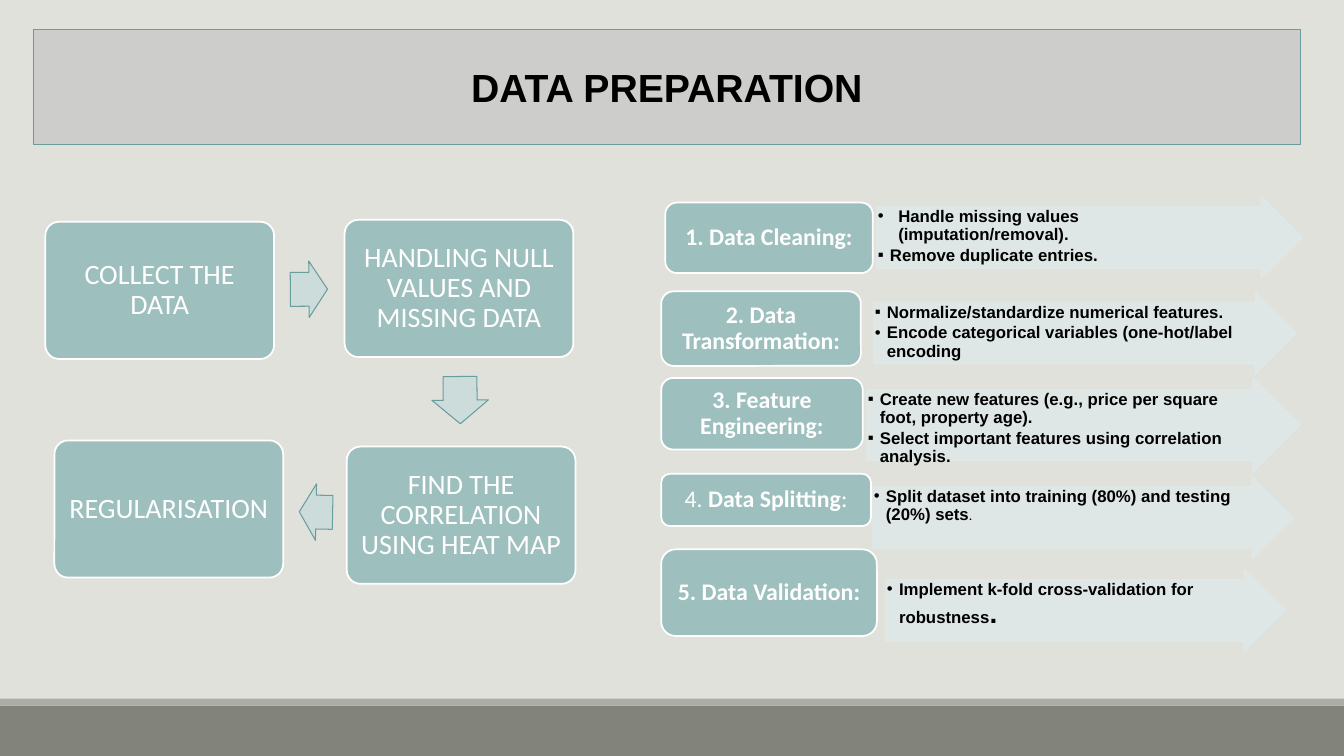
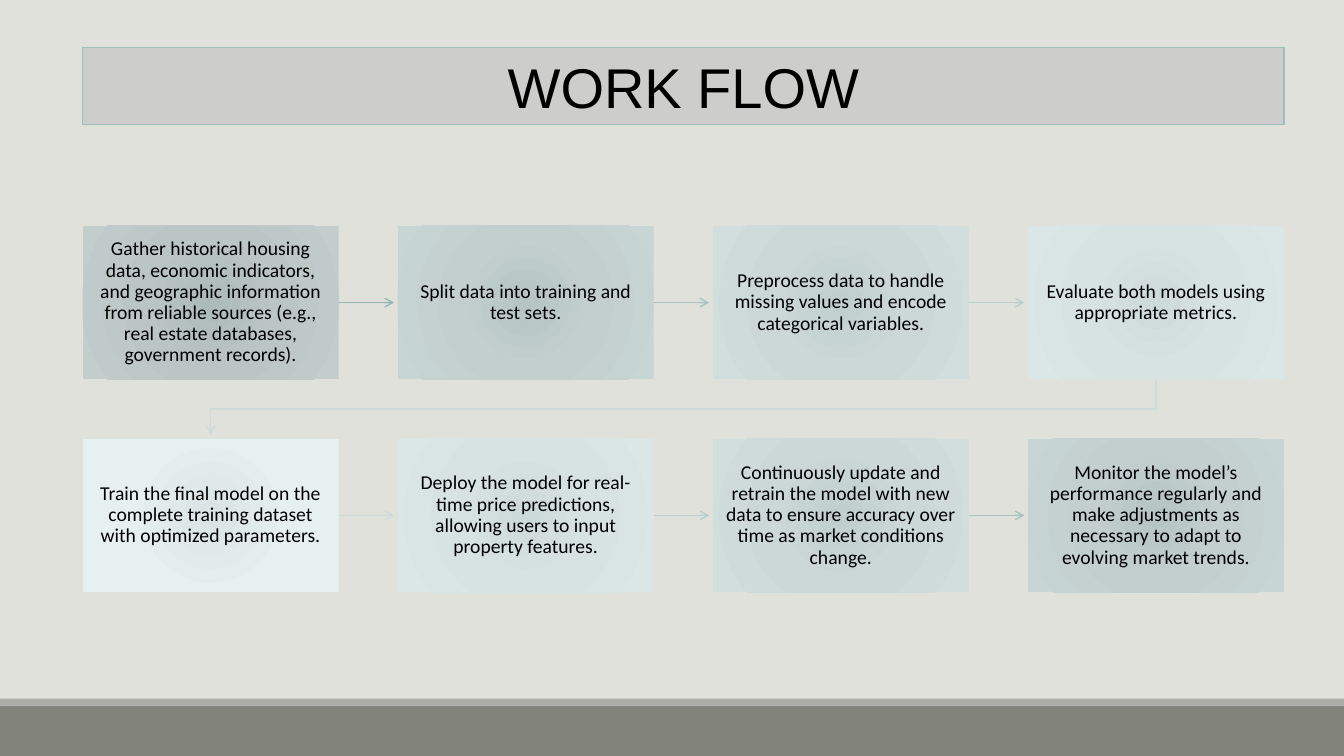
"""Build two slides on data preparation and the project work flow."""
from lxml import etree
from pptx import Presentation, oxml
from pptx.dml.color import RGBColor
from pptx.enum import shapes, text
from pptx.oxml.ns import nsdecls, qn
from pptx.util import Pt

COLOURS = {
    "page": "E1E1DB", "band": "82847C", "strip": "ACADA8", "title": "CDCECB",
    "teal": "9DBFBE", "edge": "689D9B", "pale": "CCDCDB", "mist": "DFE8E8",
    "white": "FFFFFF", "black": "000000",
}
TONES = [
    ("ADBABA", "BBC5C5", "C2CDCC"),
    ("B6C4C4", "C2CFCE", "C8D5D5"),
    ("C0CFCE", "CCD8D8", "D1DEDD"),
    ("CCDAD9", "D7E3E2", "DBE7E7"),
    ("DAE4E4", "E4EDED", "E7F0F0"),
]
KINDS = shapes.MSO_SHAPE
MIDDLE = text.MSO_ANCHOR.MIDDLE
CENTER = text.PP_ALIGN.CENTER


def add_block(page, kind, place, fill, line=None, width=1.25):
    block = page.shapes.add_shape(kind, *map(Pt, place))
    block.shadow.inherit = False
    block.fill.solid()
    block.fill.fore_color.rgb = RGBColor.from_string(COLOURS[fill])
    if line:
        block.line.color.rgb = RGBColor.from_string(COLOURS[line])
        block.line.width = Pt(width)
    else:
        block.line.fill.background()
    return block


def write(block, paragraphs, colour, inset, align=CENTER, anchor=MIDDLE, spacing=0.9):
    frame = block.text_frame
    settings = {"word_wrap": True, "auto_size": text.MSO_AUTO_SIZE.NONE, "vertical_anchor": anchor}
    sides = ("margin_left", "margin_top", "margin_right", "margin_bottom")
    settings.update(zip(sides, map(Pt, inset)))
    for name, value in settings.items():
        setattr(frame, name, value)
    for index, spans in enumerate(paragraphs):
        para = frame.add_paragraph() if index else frame.paragraphs[0]
        para.alignment = align
        para.line_spacing = spacing
        for words, name, size, bold in spans:
            span = para.add_run()
            span.text = words
            for key, value in {"name": name, "size": Pt(size), "bold": bold}.items():
                setattr(span.font, key, value)
            span.font.color.rgb = RGBColor.from_string(COLOURS[colour])


deck = Presentation()
deck.slide_width, deck.slide_height = Pt(960), Pt(540)
master = deck.slide_master
master.background.fill.solid()
master.background.fill.fore_color.rgb = RGBColor.from_string(COLOURS["page"])

titles = [
    ("DATA PREPARATION", 28, True, (23.8, 20.9, 905, 82.1), "edge"),
    ("WORK FLOW", 40, False, (59, 33.8, 858.2, 55.4), "teal"),
]
pages = []
for words, size, bold, place, edge in titles:
    page = deck.slides.add_slide(deck.slide_layouts[5])
    title = page.shapes.title
    for name, value in zip(("left", "top", "width", "height"), place):
        setattr(title, name, Pt(value))
    title.fill.solid()
    title.fill.fore_color.rgb = RGBColor.from_string(COLOURS["title"])
    title.line.color.rgb = RGBColor.from_string(COLOURS[edge])
    title.line.width = Pt(0.75)
    write(title, [[(words, "Arial", size, bold)]], "black", (7.2, 3.6, 7.2, 3.6), spacing=1)
    pages.append(page)
preparation, workflow = pages

bands = [((0, 504, 960, 36), "band"), ((0, 499, 960, 5), "strip")]
for index, (place, fill) in enumerate(bands):
    band = add_block(preparation, KINDS.RECTANGLE, place, fill)
    band.element.nvSpPr.cNvPr.set("id", str(7 + index))
    master.element.cSld.spTree.insert(2 + index, band.element)

stages = [
    ("COLLECT THE DATA", 32.4, 158.4),
    ("HANDLING NULL VALUES AND MISSING DATA", 246.2, 157),
    ("FIND THE CORRELATION USING HEAT MAP", 247.7, 319),
    ("REGULARISATION", 38.9, 314.6),
]
for words, left, top in stages:
    stage = add_block(preparation, KINDS.ROUNDED_RECTANGLE, (left, top, 163.4, 98), "teal", "white")
    stage.adjustments[0] = 0.1
    write(stage, [[(words, "Calibri", 20, False)]], "white", [5.76] * 4)

turns = [
    ((207.4, 186.5, 26.6, 40.3), 359.6),
    ((311.8, 265.7, 33.8, 40.3), 89.5),
    ((213.8, 345.6, 23.8, 40.3), 181.1),
]
for place, rotation in turns:
    turn = add_block(preparation, KINDS.RIGHT_ARROW, place, "pale", "edge", 0.75)
    turn.adjustments[0] = 0.6
    turn.rotation = rotation

steps = [
    ([("1. Data Cleaning:", True)], (475.2, 144.7, 148.3, 50.4), (626.4, 140.4, 303.8, 58.3),
     [("•", 14.5, "Handle missing values (imputation/removal)."),
      ("▪", 8.6, "Remove duplicate entries.")], None),
    ([("2. Data Transformation:", True)], (472.3, 208.1, 142.6, 53.3), (624.2, 208.8, 301.7, 58.3),
     [("▪", 8.6, "Normalize/standardize numerical features."),
      ("•", 8.6, "Encode categorical variables (one-hot/label encoding")], None),
    ([("3. Feature Engineering:", True)], (472.3, 270, 144, 51.1), (619.2, 270, 309.6, 67),
     [("▪", 8.6, "Create new features (e.g., price per square foot, property age)."),
      ("▪", 8.6, "Select important features using correlation analysis.")], None),
    ([("4.", False), (" Data Splitting", True), (":", False)],
     (472.3, 338.4, 149.8, 37.4), (623.5, 340.6, 300.2, 58.3),
     [("•", 8.6, "Split dataset into training (80%) and testing (20%) sets")],
     (".", "Calibri", 10, False)),
    ([("5. Data Validation:", True)], (472.3, 392.4, 154.1, 61.9), (632.9, 406.8, 285.1, 58.3),
     [("•", 8.6, "Implement k-fold cross-validation for robustness")],
     (".", "Arial", 20, True)),
]
for heading, label_place, arrow_place, points, ending in steps:
    arrow = add_block(preparation, KINDS.RIGHT_ARROW, arrow_place, "mist", "mist")
    arrow.adjustments[0] = 0.75
    for colour in arrow.element.spPr.iter(qn("a:srgbClr")):
        etree.SubElement(colour, qn("a:alpha"), val="90000")
    paragraphs = [[(words, "Arial", 12, True)] for _, _, words in points]
    if ending:
        paragraphs[-1].append(ending)
    write(arrow, paragraphs, "black", (0.7, 0.7, 14.5, 0.7), text.PP_ALIGN.LEFT, text.MSO_ANCHOR.TOP)
    for para, (mark, indent, _) in zip(arrow.text_frame.paragraphs, points):
        para.space_after = Pt(2)
        properties = para._p.get_or_add_pPr()
        properties.set("marL", str(Pt(indent)))
        properties.set("indent", str(-Pt(indent)))
        etree.SubElement(properties, qn("a:buFont"), typeface="Arial")
        etree.SubElement(properties, qn("a:buChar"), char=mark)
    label = add_block(preparation, KINDS.ROUNDED_RECTANGLE, label_place, "teal", "white")
    write(label, [[(words, "Calibri", 17, bold) for words, bold in heading]], "white", (5, 2.5, 5, 2.5))

tasks = [
    ("Gather historical housing data, economic indicators, and geographic information "
     "from reliable sources (e.g., real estate databases, government records).", 0),
    ("Split data into training and test sets.", 1),
    ("Preprocess data to handle missing values and encode categorical variables.", 2),
    ("Evaluate both models using appropriate metrics.", 3),
    ("Train the final model on the complete training dataset with optimized parameters.", 4),
    ("Deploy the model for real-time price predictions, allowing users to input property features.", 3),
    ("Continuously update and retrain the model with new data to ensure accuracy over time "
     "as market conditions change.", 2),
    ("Monitor the model’s performance regularly and make adjustments as necessary "
     "to adapt to evolving market trends.", 1),
]
LEFT, TOP, WIDTH, HEIGHT = 59, 161.3, 182.9, 109.7
COLUMN_STEP, ROW_STEP, REACH = 225.1, 152, 39.6
boxes = []
for index, (words, tone) in enumerate(tasks):
    row, column = divmod(index, 4)
    place = (LEFT + column * COLUMN_STEP, TOP + row * ROW_STEP, WIDTH, HEIGHT)
    box = add_block(workflow, KINDS.RECTANGLE, place, "pale")
    stops = "".join(
        f'<a:gs pos="{position}000"><a:srgbClr val="{shade}"/></a:gs>'
        for position, shade in zip((0, 45, 100), TONES[tone])
    )
    gradient = oxml.parse_xml(
        f'<a:gradFill {nsdecls("a")} rotWithShape="1"><a:gsLst>{stops}</a:gsLst><a:path path="circle">'
        '<a:fillToRect l="100000" t="100000" r="100000" b="100000"/></a:path></a:gradFill>'
    )
    properties = box.element.spPr
    properties.replace(properties.find(qn("a:solidFill")), gradient)
    write(box, [[(words, "Calibri", 14, False)]], "black", [7.9] * 4)
    boxes.append(box)

links = ["96B6B5", "A8C3C2", "BACFCF", "CDDCDB", "CDDCDB", "BACFCF", "A8C3C2"]
for index, (colour, start) in enumerate(zip(links, boxes)):
    if index == 3:
        first_x, last_x = LEFT + 3 * COLUMN_STEP + WIDTH / 2, LEFT + WIDTH / 2
        start_y, bend_y = TOP + HEIGHT, TOP + HEIGHT + 21.2
        outline = workflow.shapes.build_freeform(Pt(first_x), Pt(start_y))
        corners = [(first_x, bend_y), (last_x, bend_y), (last_x, start_y + REACH)]
        outline.add_line_segments([(Pt(x), Pt(y)) for x, y in corners], close=False)
        link = outline.convert_to_shape()
        link.fill.background()
    else:
        x, y = start.left + start.width, start.top + start.height // 2
        link = workflow.shapes.add_connector(shapes.MSO_CONNECTOR.STRAIGHT, x, y, x + Pt(REACH), y)
        link.begin_connect(start, 3)
    link.line.color.rgb = RGBColor.from_string(colour)
    link.line.width = Pt(1)
    properties = link.element.spPr
    etree.SubElement(properties.find(qn("a:ln")), qn("a:tailEnd"), type="arrow")
    etree.SubElement(properties, qn("a:effectLst"))

deck.save("out.pptx")
